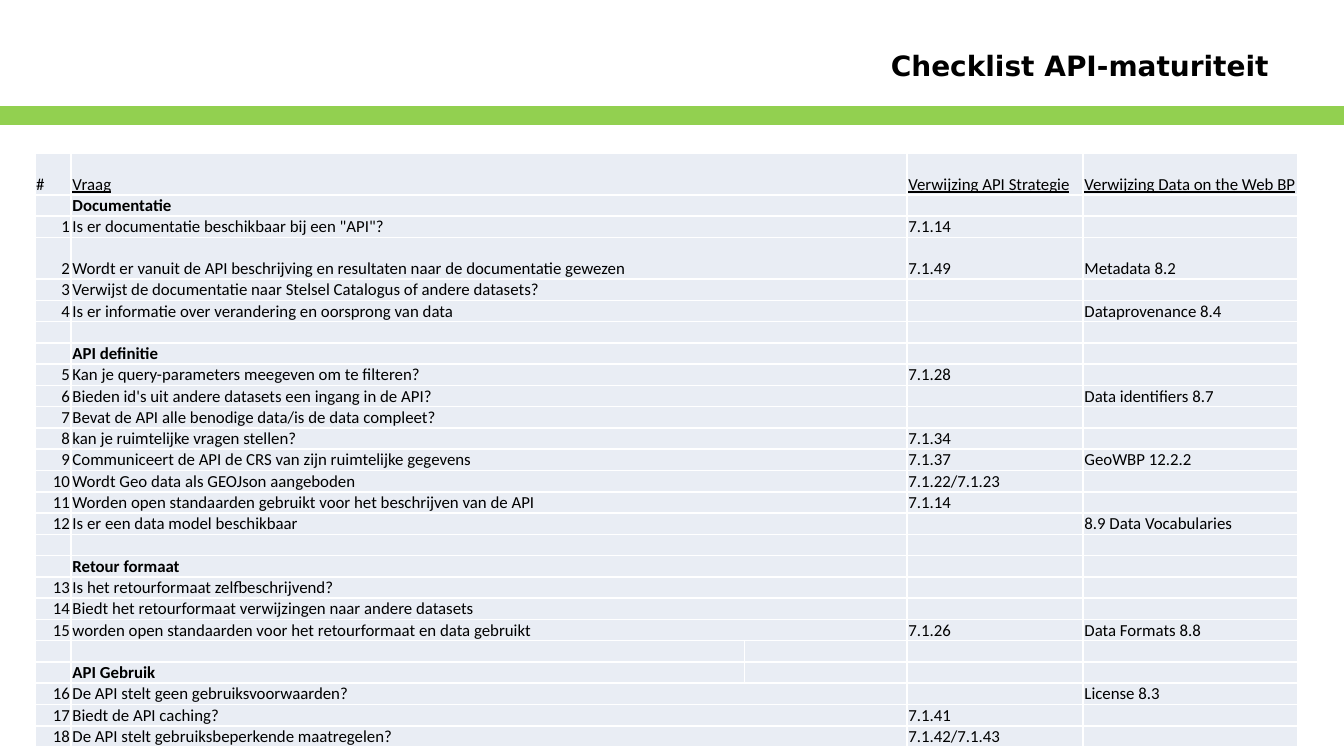
"""Build the API maturity checklist slide."""
from dataclasses import dataclass

from lxml.etree import SubElement
from pptx import Presentation
from pptx.dml.color import RGBColor
from pptx.enum.shapes import MSO_SHAPE
from pptx.enum.text import MSO_ANCHOR, PP_ALIGN
from pptx.oxml.ns import qn
from pptx.util import Inches, Pt


@dataclass(frozen=True)
class Theme:
    green: RGBColor = RGBColor.from_string("92D050")
    cell: RGBColor = RGBColor.from_string("E9EDF4")
    border: str = "FFFFFF"
    text: RGBColor = RGBColor.from_string("000000")
    title_size: Pt = Pt(15)
    table_size: Pt = Pt(9)
    line: Pt = Pt(2)
    border_width: Pt = Pt(1)
    title_font: str = "DejaVu Sans"
    table_font: str = "Calibri"


def set_font(font, values):
    for name, value in values.items():
        setattr(font, name, value)
    font.color.rgb = theme.text


def format_cell(cell):
    cell_format = {
        "margin_left": Inches(0.01),
        "margin_right": Inches(0.01),
        "margin_top": 0,
        "margin_bottom": 0,
        "vertical_anchor": MSO_ANCHOR.BOTTOM,
    }
    for name, value in cell_format.items():
        setattr(cell, name, value)
    properties = cell._tc.get_or_add_tcPr()
    for side in ("a:lnL", "a:lnR", "a:lnT", "a:lnB"):
        border = SubElement(properties, qn(side), w=str(theme.border_width))
        SubElement(SubElement(border, qn("a:solidFill")), qn("a:srgbClr"), val=theme.border)
    cell.fill.solid()
    cell.fill.fore_color.rgb = theme.cell


theme = Theme()
header = ("#", "Vraag", "Verwijzing API Strategie", "Verwijzing Data on the Web BP")
sections = {
    "Documentatie": [
        ('Is er documentatie beschikbaar bij een "API"?', "7.1.14", ""),
        ("Wordt er vanuit de API beschrijving en resultaten naar de documentatie gewezen", "7.1.49", "Metadata 8.2"),
        ("Verwijst de documentatie naar Stelsel Catalogus of andere datasets?", "", ""),
        ("Is er informatie over verandering en oorsprong van data", "", "Dataprovenance 8.4"),
    ],
    "API definitie": [
        ("Kan je query-parameters meegeven om te filteren?", "7.1.28", ""),
        ("Bieden id's uit andere datasets een ingang in de API?", "", "Data identifiers 8.7"),
        ("Bevat de API alle benodige data/is de data compleet?", "", ""),
        ("kan je ruimtelijke vragen stellen?", "7.1.34", ""),
        ("Communiceert de API de CRS van zijn ruimtelijke gegevens", "7.1.37", "GeoWBP 12.2.2"),
        ("Wordt Geo data als GEOJson aangeboden", "7.1.22/7.1.23", ""),
        ("Worden open standaarden gebruikt voor het beschrijven van de API", "7.1.14", ""),
        ("Is er een data model beschikbaar", "", "8.9 Data Vocabularies"),
    ],
    "Retour formaat": [
        ("Is het retourformaat zelfbeschrijvend?", "", ""),
        ("Biedt het retourformaat verwijzingen naar andere datasets", "", ""),
        ("worden open standaarden voor het retourformaat en data gebruikt", "7.1.26", "Data Formats 8.8"),
    ],
    "API Gebruik": [
        ("De API stelt geen gebruiksvoorwaarden?", "", "License 8.3"),
        ("Biedt de API caching?", "7.1.41", ""),
        ("De API stelt gebruiksbeperkende maatregelen?", "7.1.42/7.1.43", ""),
    ],
}

rows = [header]
number = 0
for heading, questions in sections.items():
    if number:
        rows.append(("", "", "", ""))
    rows.append(("", heading, "", ""))
    for question in questions:
        number += 1
        rows.append((str(number), *question))

deck = Presentation()
deck.slide_width = Inches(10)
deck.slide_height = deck.slide_width * 9 // 16
page = deck.slides.add_slide(deck.slide_layouts[5])

bar = page.shapes.add_shape(MSO_SHAPE.RECTANGLE, 0, Inches(0.8), deck.slide_width, Inches(0.12))
bar.shadow.inherit = False
bar.fill.solid()
bar.fill.fore_color.rgb = theme.green
bar.line.color.rgb = theme.green
bar.line.width = theme.line

title = page.shapes.title
title_box = {"left": 6.5, "top": 0.29, "width": 3.07, "height": 0.39}
for name, value in title_box.items():
    setattr(title, name, Inches(value))
frame = title.text_frame
frame_format = {"margin_left": 0, "margin_right": 0, "word_wrap": True, "vertical_anchor": MSO_ANCHOR.MIDDLE}
for name, value in frame_format.items():
    setattr(frame, name, value)
para = frame.paragraphs[0]
para.alignment = PP_ALIGN.CENTER
span = para.add_run()
span.text = "Checklist API-maturiteit"
set_font(span.font, {"name": theme.title_font, "size": theme.title_size, "bold": True})

column_widths = (0.27, 5.01, 1.21, 1.31, 1.6)
text_columns = (0, 1, 3, 4)
tall_rows = (0, 3)
split_rows = (21, 22)
table_height = Inches(4.42)
tall_height = Inches(0.31)
row_height = (table_height - tall_height * len(tall_rows)) // (len(rows) - len(tall_rows))
table = page.shapes.add_table(
    len(rows), len(column_widths), Inches(0.26), Inches(1.14), Inches(sum(column_widths)), table_height
).table
for column, width in zip(table.columns, column_widths):
    column.width = Inches(width)

for row_index, values in enumerate(rows):
    table.rows[row_index].height = tall_height if row_index in tall_rows else row_height
    texts = dict(zip(text_columns, values))
    for column_index in range(len(column_widths)):
        cell = table.cell(row_index, column_index)
        format_cell(cell)
        para = cell.text_frame.paragraphs[0]
        text = texts.get(column_index, "")
        if not text:
            SubElement(para._p, qn("a:endParaRPr"), sz=str(int(theme.table_size.pt * 100)))
            continue
        is_number = column_index == 0 and row_index > 0
        para.alignment = PP_ALIGN.RIGHT if is_number else PP_ALIGN.LEFT
        span = para.add_run()
        span.text = text
        set_font(span.font, {
            "name": theme.table_font,
            "size": theme.table_size,
            "bold": text in sections,
            "underline": row_index == 0 and column_index > 0,
        })
    if row_index not in split_rows:
        table.cell(row_index, 1).merge(table.cell(row_index, 2))

deck.save("out.pptx")
